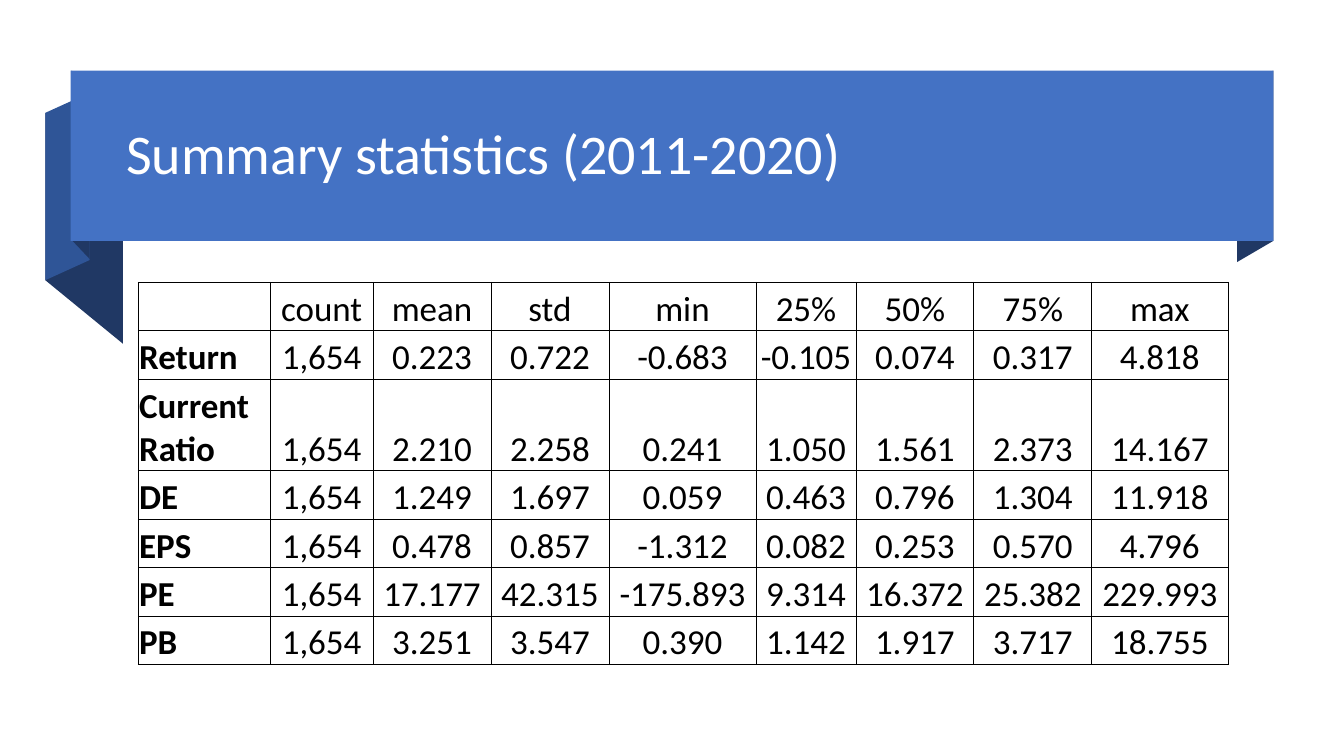
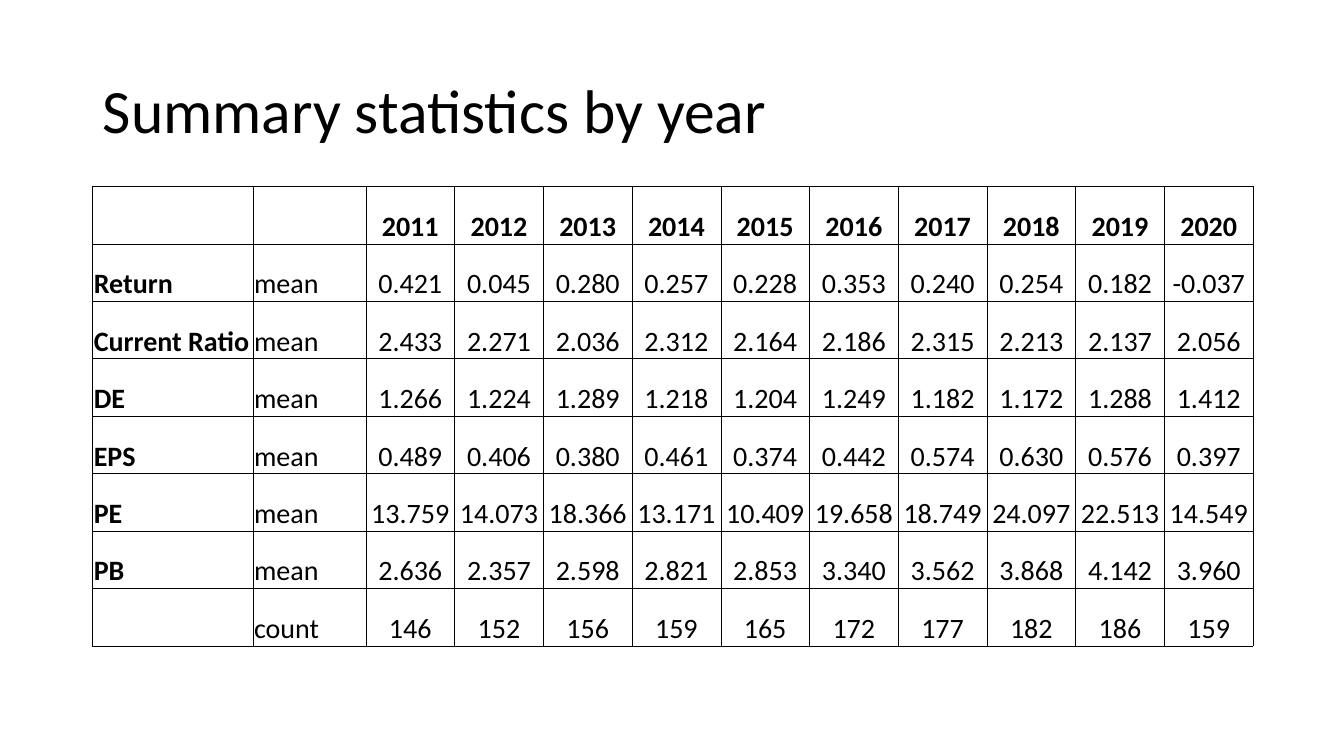
import pptx
import pptx.dml.color
import pptx.enum.shapes
import pptx.enum.text
import pptx.oxml.ns
import pptx.util
from lxml import etree

Inches = pptx.util.Inches
Pt = pptx.util.Pt
RGBColor = pptx.dml.color.RGBColor
ALIGN = pptx.enum.text.PP_ALIGN
ANCHOR = pptx.enum.text.MSO_ANCHOR

BLACK = RGBColor(0x00, 0x00, 0x00)
WHITE = RGBColor(0xFF, 0xFF, 0xFF)
BAND_BLUE = RGBColor(0x44, 0x72, 0xC4)
MID_BLUE = RGBColor(0x2F, 0x55, 0x97)
DARK_BLUE = RGBColor(0x20, 0x38, 0x64)
FONT = "Calibri"

BAND = (0.7, 0.7, 11.93, 1.69)
# left edge x and top, right edge x and top, height, colour
RIBBON_FOLDS = [
    (12.27, 0.91, 12.63, 0.7, 1.69, DARK_BLUE),
    (0.45, 1.12, 1.22, 1.75, 1.66, DARK_BLUE),
    (0.45, 1.12, 0.89, 0.92, 1.66, MID_BLUE),
    (0.71, 0.7, 0.89, 0.89, 1.68, DARK_BLUE),
]

SLIDES = [
    {
        "title": "Summary statistics (2011-2020)",
        "title_box": (1.15, 0.83, 11.27, 1.45),
        "title_size": 40,
        "title_color": WHITE,
        "ribbon": True,
        "table_at": (1.37, 2.8),
        "columns": [1.31, 1.02, 1.17, 1.17, 1.46, 0.99, 1.17, 1.17, 1.35],
        "row_heights": [0.48, 0.48, 0.91, 0.48, 0.48, 0.48, 0.48],
        "size": 25,
        "label_columns": 1,
        "bold_header": False,
        "rows": [
            ("", "count", "mean", "std", "min", "25%", "50%", "75%", "max"),
            ("Return", "1,654", "0.223", "0.722", "-0.683", "-0.105", "0.074", "0.317", "4.818"),
            ("Current Ratio", "1,654", "2.210", "2.258", "0.241", "1.050", "1.561", "2.373", "14.167"),
            ("DE", "1,654", "1.249", "1.697", "0.059", "0.463", "0.796", "1.304", "11.918"),
            ("EPS", "1,654", "0.478", "0.857", "-1.312", "0.082", "0.253", "0.570", "4.796"),
            ("PE", "1,654", "17.177", "42.315", "-175.893", "9.314", "16.372", "25.382", "229.993"),
            ("PB", "1,654", "3.251", "3.547", "0.390", "1.142", "1.917", "3.717", "18.755"),
        ],
    },
    {
        "title": "Summary statistics by year",
        "title_box": (0.92, 0.4, 11.5, 1.45),
        "title_size": 44,
        "title_color": BLACK,
        "ribbon": False,
        "table_at": (0.92, 1.85),
        "columns": [1.59, 1.12] + [0.88] * 10,
        "row_heights": [0.57] * 8,
        "size": 20,
        "label_columns": 2,
        "bold_header": True,
        "rows": [
            ("", "", *(str(year) for year in range(2011, 2021))),
            ("Return", "mean", "0.421", "0.045", "0.280", "0.257", "0.228",
             "0.353", "0.240", "0.254", "0.182", "-0.037"),
            ("Current Ratio", "mean", "2.433", "2.271", "2.036", "2.312", "2.164",
             "2.186", "2.315", "2.213", "2.137", "2.056"),
            ("DE", "mean", "1.266", "1.224", "1.289", "1.218", "1.204",
             "1.249", "1.182", "1.172", "1.288", "1.412"),
            ("EPS", "mean", "0.489", "0.406", "0.380", "0.461", "0.374",
             "0.442", "0.574", "0.630", "0.576", "0.397"),
            ("PE", "mean", "13.759", "14.073", "18.366", "13.171", "10.409",
             "19.658", "18.749", "24.097", "22.513", "14.549"),
            ("PB", "mean", "2.636", "2.357", "2.598", "2.821", "2.853",
             "3.340", "3.562", "3.868", "4.142", "3.960"),
            ("", "count", "146", "152", "156", "159", "165",
             "172", "177", "182", "186", "159"),
        ],
    },
]


def format_span(span, size, color, bold=False):
    span.font.name = FONT
    span.font.size = Pt(size)
    span.font.color.rgb = color
    span.font.bold = bold


def paint(shape, color):
    shape.fill.solid()
    shape.fill.fore_color.rgb = color
    shape.line.fill.background()
    shape.shadow.inherit = False


def add_ribbon(page):
    for left, left_top, right, right_top, height, color in RIBBON_FOLDS:
        corners = [(left, left_top), (right, right_top),
                   (right, right_top + height), (left, left_top + height)]
        points = [(Inches(x), Inches(y)) for x, y in corners]
        outline = page.shapes.build_freeform(*points[0])
        outline.add_line_segments(points[1:], close=True)
        paint(outline.convert_to_shape(), color)
    band = page.shapes.add_shape(pptx.enum.shapes.MSO_SHAPE.RECTANGLE, *map(Inches, BAND))
    paint(band, BAND_BLUE)


def set_title(page, content):
    title = page.shapes.title
    title.left, title.top, title.width, title.height = map(Inches, content["title_box"])
    frame = title.text_frame
    frame.text = content["title"]
    frame.word_wrap = True
    frame.auto_size = pptx.enum.text.MSO_AUTO_SIZE.NONE
    frame.vertical_anchor = ANCHOR.MIDDLE
    para = frame.paragraphs[0]
    para.alignment = ALIGN.LEFT
    para.line_spacing = 0.9
    format_span(para.runs[0], content["title_size"], content["title_color"])
    title.element.getparent().append(title.element)


def add_borders(cell):
    qn = pptx.oxml.ns.qn
    properties = cell._tc.get_or_add_tcPr()
    for side in ("lnL", "lnR", "lnT", "lnB"):
        line = etree.SubElement(properties, qn("a:" + side), w=str(Pt(0.5)))
        fill = etree.SubElement(line, qn("a:solidFill"))
        etree.SubElement(fill, qn("a:srgbClr"), val=str(BLACK))


def fill_cell(cell, text, size, alignment, bold):
    add_borders(cell)
    cell.fill.background()
    cell.margin_left = cell.margin_right = cell.margin_top = Inches(0.01)
    cell.margin_bottom = 0
    cell.vertical_anchor = ANCHOR.BOTTOM
    if text:
        para = cell.text_frame.paragraphs[0]
        para.text = text
        para.alignment = alignment
        format_span(para.runs[0], size, BLACK, bold)


def add_statistics(page, content):
    rows, columns, heights = content["rows"], content["columns"], content["row_heights"]
    left, top = content["table_at"]
    table = page.shapes.add_table(
        len(rows), len(columns), Inches(left), Inches(top),
        Inches(sum(columns)), Inches(sum(heights))).table
    table.first_row = table.horz_banding = False
    for column, width in zip(table.columns, columns):
        column.width = Inches(width)
    for row, height in zip(table.rows, heights):
        row.height = Inches(height)
    for r, values in enumerate(rows):
        for c, text in enumerate(values):
            alignment = ALIGN.LEFT if c < content["label_columns"] else ALIGN.CENTER
            bold = c == 0 or (r == 0 and content["bold_header"])
            fill_cell(table.cell(r, c), text, content["size"], alignment, bold)


def main():
    deck = pptx.Presentation()
    deck.slide_width, deck.slide_height = Inches(13.33), Inches(7.5)
    title_only = deck.slide_layouts[5]
    for content in SLIDES:
        page = deck.slides.add_slide(title_only)
        if content["ribbon"]:
            add_ribbon(page)
        set_title(page, content)
        add_statistics(page, content)
    deck.save("out.pptx")


if __name__ == "__main__":
    main()
